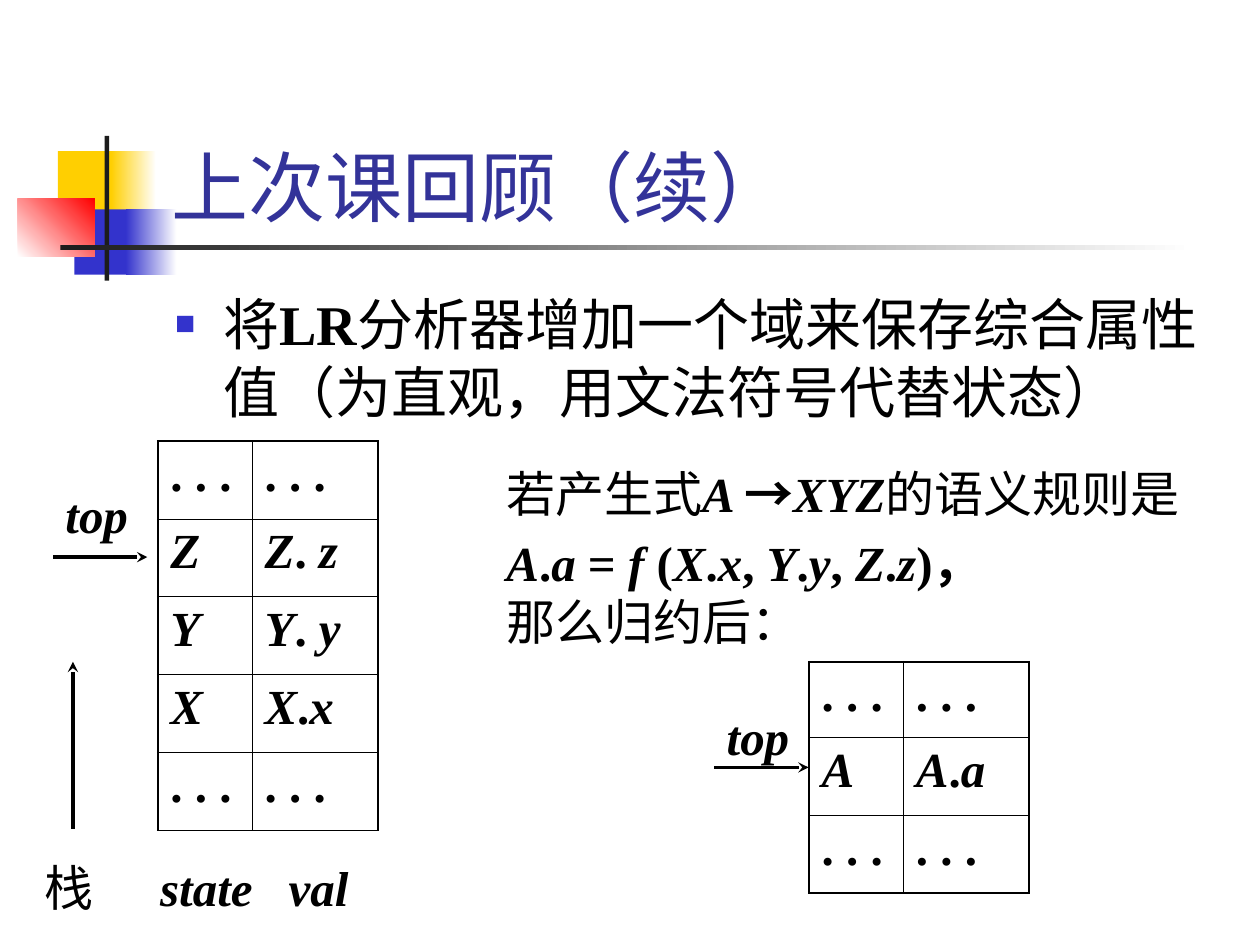
"""Build the review slide on synthesized attributes in an LR parser stack."""
import pptx
import pptx.dml.color
import pptx.enum.shapes
import pptx.enum.text
import pptx.oxml
import pptx.oxml.ns
import pptx.util
from lxml import etree

Cm, Pt = pptx.util.Cm, pptx.util.Pt
RGB = pptx.dml.color.RGBColor
ANCHOR = pptx.enum.text.MSO_ANCHOR
qn = pptx.oxml.ns.qn

BLACK = RGB(0x00, 0x00, 0x00)
WHITE = RGB(0xFF, 0xFF, 0xFF)
YELLOW = RGB(0xFF, 0xCF, 0x01)
BLUE = RGB(0x33, 0x33, 0xCC)
RED = RGB(0xFF, 0x00, 0x00)
DARK = RGB(0x1C, 0x1C, 0x1C)
TITLE_BLUE = RGB(0x33, 0x33, 0x99)

SERIF, SANS, TITLE_FONT = "Times New Roman", "Noto Sans CJK SC", "Cabin"
STYLES = {
    "title": {"name": TITLE_FONT, "bold": False, "italic": False},
    "cjk": {"name": SANS, "bold": False, "italic": False},
    "arrow": {"name": SANS, "bold": True, "italic": False},
    "b": {"name": SERIF, "bold": True, "italic": False},
    "bi": {"name": SERIF, "bold": True, "italic": True},
}

DECOR = [
    ((1.17, 3.05, 1.22, 1.32), (YELLOW,), 0),
    ((2.24, 3.05, 0.91, 1.32), (YELLOW, WHITE), 0),
    ((1.5, 4.22, 1.17, 1.32), (BLUE,), 0),
    ((2.54, 4.22, 1.02, 1.32), (BLUE, WHITE), 0),
    ((0.36, 4.01, 1.55, 1.17), (WHITE, RED), 45),
    ((2.11, 2.74, 0.09, 2.92), (DARK,), 0),
    ((1.22, 4.94, 22.86, 0.1), (DARK, WHITE), 0),
]

TITLE = [("上次课回顾（续）", "title")]
BODY = [("将", "cjk"), ("LR", "b"),
        ("分析器增加一个域来保存综合属性值（为直观，用文法符号代替状态）", "cjk")]
LEGEND = [("栈", "cjk"), ("\tstate\tval", "bi")]
TOP = [("top", "bi")]
PRODUCTION = [("若产生式", "cjk"), ("A ", "bi"), ("→", "arrow"), ("XYZ", "bi"),
              ("的语义规则是", "cjk")]
FORMULA = [("A", "bi"), (".", "b"), ("a", "bi"), (" = ", "b"), ("f ", "bi"), ("(", "b"),
           ("X", "bi"), (".", "b"), ("x", "bi"), (", ", "b"),
           ("Y", "bi"), (".", "b"), ("y", "bi"), (", ", "b"),
           ("Z", "bi"), (".", "b"), ("z", "bi"), (")，", "b")]
AFTER = [("那么归约后：", "cjk")]

DOTS = [[(". . .", "b")]] * 2
COLS = (1.9, 2.54)


def stack_row(symbol, dot, attribute):
    return [[(symbol, "bi")], [(symbol, "bi"), (dot, "b"), (attribute, "bi")]]


TABLES = [
    ((3.18, 8.89), [1.57] * 5,
     [DOTS, stack_row("Z", ". ", "z"), stack_row("Y", ". ", "y"),
      stack_row("X", ".", "x"), DOTS]),
    ((16.31, 13.34), [1.52, 1.57, 1.57], [DOTS, stack_row("A", ".", "a"), DOTS]),
]
ARROWS = [(1.07, 11.23, 2.97, 11.23), (1.47, 16.71, 1.47, 13.34), (14.4, 15.47, 16.3, 15.47)]
TOP_LABELS = [(1.07, 9.73, 1.91, 1.27), (14.4, 14.2, 1.91, 1.27)]


def add_runs(p, runs, size, color=BLACK):
    for text, style in runs:
        r = p.add_run()
        r.text = text
        for key, value in {**STYLES[style], "size": Pt(size)}.items():
            setattr(r.font, key, value)
        r.font.color.rgb = color
        etree.SubElement(r.font._element, qn("a:ea"), typeface=SANS)


def add_text(s, box, paragraphs, size, color=BLACK, anchor=ANCHOR.TOP, pitches=()):
    tf = s.shapes.add_textbox(*map(Cm, box)).text_frame
    tf.word_wrap = True
    tf.vertical_anchor = anchor
    for i, runs in enumerate(paragraphs):
        p = tf.add_paragraph() if i else tf.paragraphs[0]
        if pitches:
            p.line_spacing = Pt(pitches[i])
        add_runs(p, runs, size, color)
    return tf


def add_decor(s, box, colors, angle):
    sp = s.shapes.add_shape(pptx.enum.shapes.MSO_SHAPE.RECTANGLE, *map(Cm, box))
    sp.shadow.inherit = False
    sp.line.fill.background()
    if len(colors) == 1:
        sp.fill.solid()
        sp.fill.fore_color.rgb = colors[0]
    else:
        sp.fill.gradient()
        sp.fill.gradient_angle = angle
        for stop, color in zip(sp.fill.gradient_stops, colors):
            stop.color.rgb = color


def add_bullet(p):
    pPr = p._p.get_or_add_pPr()
    pPr.set("marL", str(Cm(0.97)))
    pPr.set("indent", str(-Cm(0.97)))
    clr = etree.SubElement(pPr, qn("a:buClr"))
    etree.SubElement(clr, qn("a:srgbClr"), val=str(BLUE))
    etree.SubElement(pPr, qn("a:buSzPct"), val="60000")
    etree.SubElement(pPr, qn("a:buFont"), typeface=SERIF)
    etree.SubElement(pPr, qn("a:buChar"), char="■")


def add_tabs(p, stops):
    tabs = etree.SubElement(p._p.get_or_add_pPr(), qn("a:tabLst"))
    for stop in stops:
        etree.SubElement(tabs, qn("a:tab"), pos=str(Cm(stop)), algn="l")


def set_borders(cell, outer):
    tcPr = cell._tc.get_or_add_tcPr()
    for i, side in enumerate("LRTB"):
        ln = etree.Element(qn("a:ln" + side), w=str(Pt(1.08 if side in outer else 0.45)))
        fill = etree.SubElement(ln, qn("a:solidFill"))
        etree.SubElement(fill, qn("a:srgbClr"), val=str(BLACK))
        tcPr.insert(i, ln)


def add_stack(s, corner, heights, rows):
    size = (sum(COLS), sum(heights))
    table = s.shapes.add_table(len(rows), len(COLS), *map(Cm, corner + size)).table
    table.first_row = table.horz_banding = False
    for column, width in zip(table.columns, COLS):
        column.width = Cm(width)
    for i, (height, row) in enumerate(zip(heights, rows)):
        table.rows[i].height = Cm(height)
        for j, runs in enumerate(row):
            cell = table.cell(i, j)
            cell.fill.background()
            add_runs(cell.text_frame.paragraphs[0], runs, 28)
            outer = "LR"[j] + ("T" if i == 0 else "") + ("B" if i == len(rows) - 1 else "")
            set_borders(cell, outer)


def add_arrow(s, ends):
    line = s.shapes.add_connector(pptx.enum.shapes.MSO_CONNECTOR.STRAIGHT, *map(Cm, ends))
    line.line.color.rgb = BLACK
    line.line.width = Pt(2)
    etree.SubElement(line.line._get_or_add_ln(), qn("a:tailEnd"), type="stealth")
    etree.SubElement(line._element.spPr, qn("a:effectLst"))


def main():
    prs = pptx.Presentation()
    prs.slide_width, prs.slide_height = Cm(25.4), Cm(19.05)
    s = prs.slides.add_slide(prs.slide_layouts[6])
    for item in DECOR:
        add_decor(s, *item)
    add_text(s, (3.2, 0.74, 21.64, 4.06), [TITLE], 44, TITLE_BLUE, ANCHOR.BOTTOM)
    body = add_text(s, (3.28, 5.72, 21.34, 11.43), [BODY], 32, pitches=[38.4])
    add_bullet(body.paragraphs[0])
    legend = add_text(s, (0.64, 17.15, 7.6, 1.47), [LEGEND], 28, anchor=ANCHOR.MIDDLE)
    add_tabs(legend.paragraphs[0], (2.34, 4.93))
    add_text(s, (9.96, 9.22, 15, 3.81), [PRODUCTION, FORMULA, AFTER], 28,
             pitches=[33.6, 39.5, 33.6])
    for item in TABLES:
        add_stack(s, *item)
    for ends in ARROWS:
        add_arrow(s, ends)
    for box in TOP_LABELS:
        add_text(s, box, [TOP], 28, anchor=ANCHOR.MIDDLE)
    prs.save("out.pptx")


if __name__ == "__main__":
    main()
